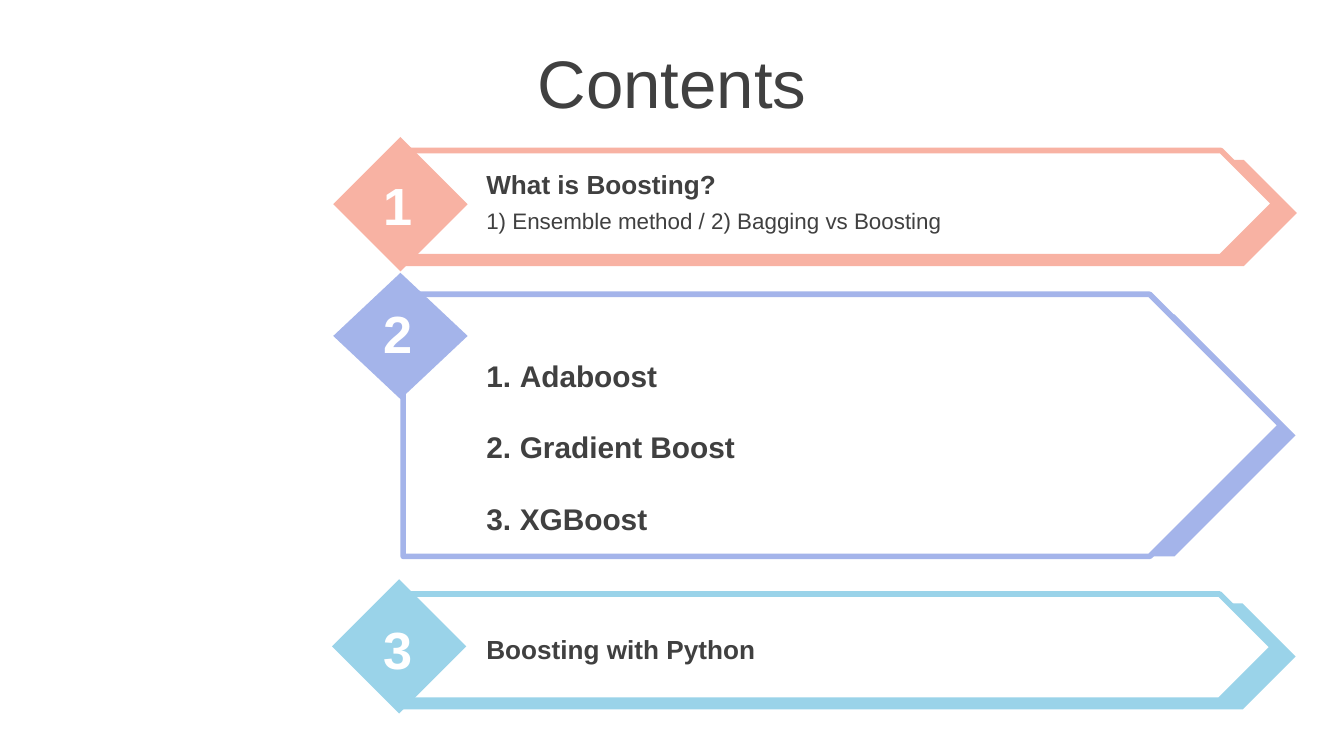
"""Build the contents slide: a title and three numbered banners."""
import pptx
import pptx.dml.color
import pptx.enum.shapes
import pptx.enum.text
import pptx.oxml
import pptx.oxml.ns
import pptx.util

WIDTH = pptx.util.Inches(10)
HEIGHT = WIDTH * 9 // 16
COLORS = {"text": "404040", "white": "FFFFFF", "coral": "F8B2A3",
          "violet": "A4B4EA", "sky": "9AD3E9"}
SHAPE = pptx.enum.shapes.MSO_SHAPE
ALIGN = pptx.enum.text.PP_ALIGN
MIDDLE = pptx.enum.text.MSO_ANCHOR.MIDDLE
GROW = pptx.enum.text.MSO_AUTO_SIZE.SHAPE_TO_FIT_TEXT

TITLE = {"size": pptx.util.Pt(36)}
NUMBER = {"size": pptx.util.Pt(28), "bold": True}
HEADING = {"size": pptx.util.Pt(14), "bold": True}
DETAIL = {"size": pptx.util.Pt(12)}
LISTING = {"size": pptx.util.Pt(16), "bold": True}

BANNERS = [
    {"color": "coral", "left": 30.1, "back": (21.16, 14.04), "front": (19.91, 14.04, 64.7),
     "diamond": (24.8, 18.13, 10, 17.78), "number": 22.04},
    {"color": "violet", "left": 30, "back": (41.6, 32), "front": (38.93, 34.67, 65.3),
     "diamond": (24.8, 36.09, 10, 16.71), "number": 38.93},
    {"color": "sky", "left": 30, "back": (79.82, 14.04), "front": (78.58, 14.04, 64.7),
     "diamond": (24.7, 76.62, 10, 17.78), "number": 80.71},
]


def rgb(name):
    """Return the named colour."""
    return pptx.dml.color.RGBColor.from_string(COLORS[name])


def place(left, top, width, height):
    """Turn percentages of the slide into lengths."""
    return [int(share * side / 100) for share, side in
            zip((left, top, width, height), (WIDTH, HEIGHT, WIDTH, HEIGHT))]


def add_block(shapes, kind, box, fill, line=None):
    """Add a flat filled shape, outlined if a line colour is given."""
    sp = shapes.add_shape(kind, *place(*box))
    sp.shadow.inherit = False
    sp.fill.solid()
    sp.fill.fore_color.rgb = rgb(fill)
    if line:
        sp.line.color.rgb = rgb(line)
        sp.line.width = pptx.util.Pt(3)
    else:
        sp.line.fill.background()


def number_paragraph(p):
    """Give a paragraph an automatic number and double spacing."""
    p.line_spacing = 2.0
    pPr = p._p.get_or_add_pPr()
    indent = pptx.util.Inches(0.25)
    pPr.set("marL", str(indent))
    pPr.set("indent", str(-indent))
    bullet = pptx.oxml.parse_xml(
        f'<a:buAutoNum {pptx.oxml.ns.nsdecls("a")} type="arabicPeriod"/>')
    pPr.append(bullet)


def add_text(s, box, lines, style, color="text", centred=False, numbered=False, grow=True):
    """Add a text box with one paragraph for each line."""
    tf = s.shapes.add_textbox(*place(*box)).text_frame
    tf.word_wrap = True
    if grow:
        tf.auto_size = GROW
    if centred:
        tf.vertical_anchor = MIDDLE
    for i, line in enumerate(lines):
        p = tf.add_paragraph() if i else tf.paragraphs[0]
        if centred:
            p.alignment = ALIGN.CENTER
        if numbered:
            number_paragraph(p)
        r = p.add_run()
        r.text = line
        for name, value in {"name": "Arial", **style}.items():
            setattr(r.font, name, value)
        r.font.color.rgb = rgb(color)


def add_banner(s, number, banner):
    """Add a two-layer arrow banner with its numbered diamond."""
    shapes = s.shapes.add_group_shape().shapes
    left, color = banner["left"], banner["color"]
    top, height = banner["back"]
    add_block(shapes, SHAPE.PENTAGON, (left, top, 66.4, height), color)
    top, height, width = banner["front"]
    add_block(shapes, SHAPE.PENTAGON, (left, top, width, height), "white", color)
    add_block(shapes, SHAPE.DIAMOND, banner["diamond"], color)
    add_text(s, (27.4, banner["number"], 4.4, 10.13), [str(number)], NUMBER,
             "white", centred=True)


def main():
    """Build and save the slide."""
    prs = pptx.Presentation()
    prs.slide_width, prs.slide_height = WIDTH, HEIGHT
    s = prs.slides.add_slide(prs.slide_layouts[6])
    add_text(s, (0, 5.16, 100, 11.2), ["Contents"], TITLE, centred=True, grow=False)
    for number, banner in enumerate(BANNERS, 1):
        add_banner(s, number, banner)
    add_text(s, (35.2, 21.33, 52, 6.04), ["What is Boosting?"], HEADING)
    add_text(s, (35.2, 26.49, 52, 5.33),
             ["1) Ensemble method / 2) Bagging vs Boosting"], DETAIL)
    add_text(s, (35.2, 41.65, 52, 28.98), ["Adaboost", "Gradient Boost", "XGBoost"],
             LISTING, numbered=True)
    add_text(s, (35.2, 82.9, 52, 6.04), ["Boosting with Python"], HEADING)
    prs.save("out.pptx")


if __name__ == "__main__":
    main()
